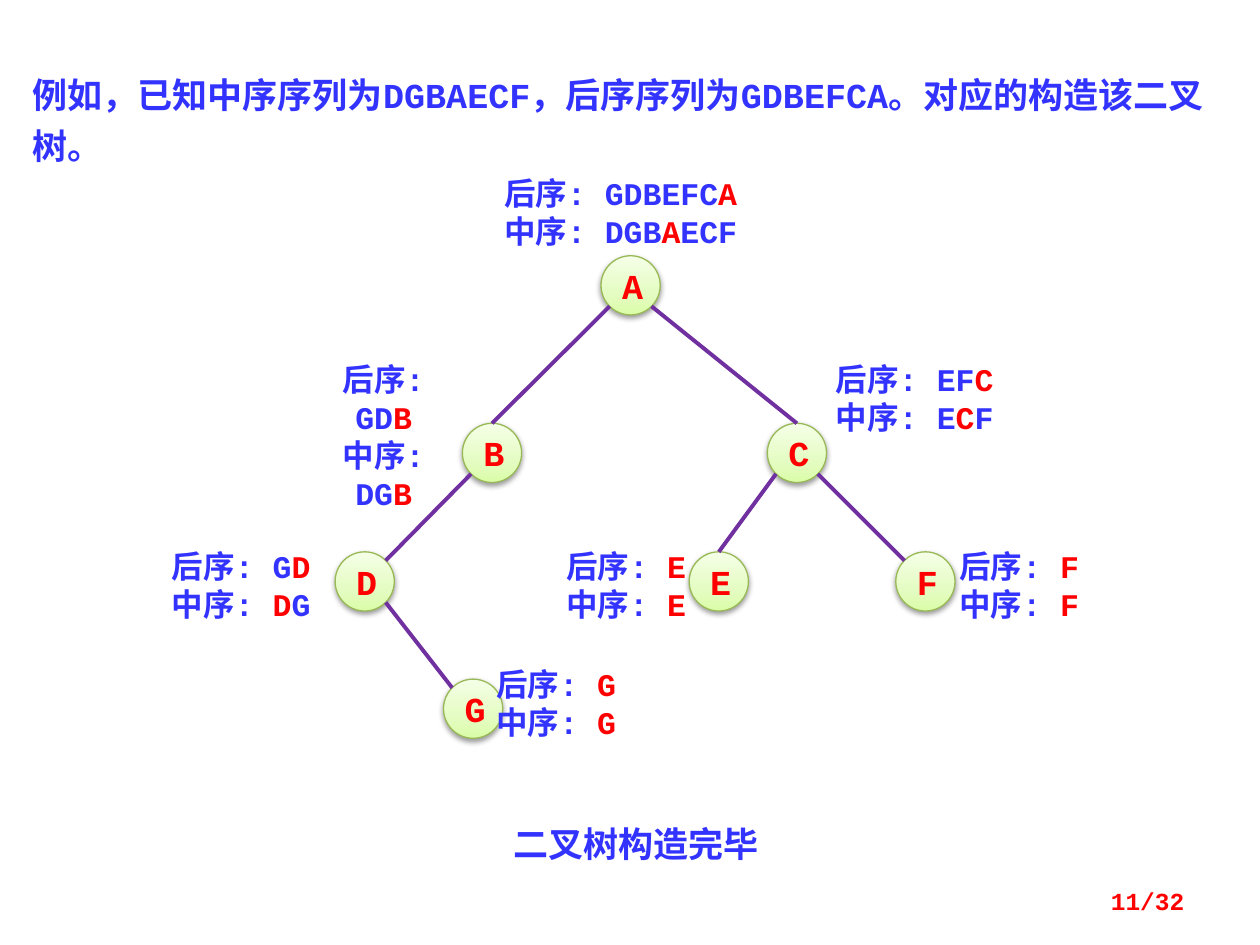
"""Build the slide that reconstructs a binary tree from its inorder and postorder sequences."""
import copy
import math
from dataclasses import dataclass

from lxml import etree
from pptx import Presentation
from pptx import util as u
from pptx.dml.color import RGBColor
from pptx.enum import shapes, text
from pptx.oxml.ns import qn

BLUE = RGBColor(0x33, 0x33, 0xFF)
RED = RGBColor(0xFF, 0x00, 0x00)
PURPLE = RGBColor(0x70, 0x30, 0xA0)
OUTLINE = RGBColor(0x98, 0xB9, 0x55)
GRADIENT = (
    (0, RGBColor(0xDA, 0xFD, 0xA7)),
    (0.35, RGBColor(0xE4, 0xFC, 0xC2)),
    (1, RGBColor(0xF5, 0xFF, 0xE7)),
)
LATIN_FONT = "Courier New"
CHINESE_FONT = "Noto Sans CJK SC"
DIAMETER = 0.47
LABEL_HEIGHT = 0.71
TOP, TOP_LEFT, TOP_RIGHT, BOTTOM_LEFT, BOTTOM_RIGHT = 90, 135, 45, 225, 315


@dataclass(frozen=True)
class Node:
    name: str
    left: float
    top: float
    postorder: str
    inorder: str
    label_left: float
    label_top: float
    label_width: float

    def rim_point(self, degrees: float) -> tuple[u.Length, u.Length]:
        """Return the point of the circle at an angle counted from the right."""
        radius, angle = DIAMETER / 2, math.radians(degrees)
        return (
            u.Inches(self.left + radius * (1 + math.cos(angle))),
            u.Inches(self.top + radius * (1 - math.sin(angle))),
        )


@dataclass(frozen=True)
class Edge:
    parent: str
    child: str
    start: int
    end: int


NODES = (
    Node("A", 4.77, 2.03, "GDBEFCA", "DGBAECF", 3.83, 1.33, 2.19),
    Node("B", 3.67, 3.36, "GDB", "DGB", 2.34, 2.81, 1.41),
    Node("C", 6.09, 3.36, "EFC", "ECF", 6.48, 2.81, 1.56),
    Node("D", 2.66, 4.38, "GD", "DG", 1.25, 4.29, 1.33),
    Node("G", 3.52, 5.39, "G", "G", 3.83, 5.23, 1.17),
    Node("E", 5.47, 4.38, "E", "E", 4.39, 4.29, 1.16),
    Node("F", 7.11, 4.38, "F", "F", 7.51, 4.29, 1.16),
)
EDGES = (
    Edge("A", "B", BOTTOM_LEFT, TOP),
    Edge("A", "C", BOTTOM_RIGHT, TOP),
    Edge("B", "D", BOTTOM_LEFT, TOP_RIGHT),
    Edge("D", "G", BOTTOM_RIGHT, TOP_LEFT),
    Edge("C", "E", BOTTOM_LEFT, TOP),
    Edge("C", "F", BOTTOM_RIGHT, TOP_LEFT),
)


def format_run(run, size: float, color: RGBColor, font: str = LATIN_FONT) -> None:
    """Set the bold Latin and Chinese type of a run."""
    run.font.size = u.Pt(size)
    run.font.bold = True
    run.font.color.rgb = color
    run.font.name = font
    east_asian = etree.SubElement(run.font._element, qn("a:ea"))
    east_asian.set("typeface", CHINESE_FONT)


def add_text_box(slide, left: float, top: float, width: float, height: float):
    """Add a wrapping text box and return its text frame."""
    box = slide.shapes.add_textbox(*map(u.Inches, (left, top, width, height)))
    box.text_frame.word_wrap = True
    box.text_frame.auto_size = text.MSO_AUTO_SIZE.SHAPE_TO_FIT_TEXT
    return box.text_frame


def add_line_of_text(frame, wording: str, size: float, color: RGBColor,
                     alignment, font: str = LATIN_FONT):
    """Fill a text frame with one formatted paragraph and return it."""
    frame.text = wording
    paragraph = frame.paragraphs[0]
    paragraph.alignment = alignment
    format_run(paragraph.runs[0], size, color, font)
    return paragraph


def add_label(slide, node: Node) -> None:
    """Write the two sequences of a subtree with its root in red."""
    frame = add_text_box(slide, node.label_left, node.label_top,
                         node.label_width, LABEL_HEIGHT)
    frame.add_paragraph()
    lines = (f"后序: {node.postorder}", f"中序: {node.inorder}")
    for paragraph, line in zip(frame.paragraphs, lines):
        paragraph.alignment = text.PP_ALIGN.CENTER
        for part in filter(None, line.partition(node.name)):
            run = paragraph.add_run()
            run.text = part
            format_run(run, 18, RED if part == node.name else BLUE)


def add_soft_shadow(shape) -> None:
    """Give a shape a soft shadow that falls straight down."""
    shape.shadow.inherit = False
    effects = shape._element.spPr.find(qn("a:effectLst"))
    shadow = etree.SubElement(effects, qn("a:outerShdw"), blurRad=str(u.Pt(3.1)),
                              dist=str(u.Pt(1.6)), dir="5400000", rotWithShape="0")
    color = etree.SubElement(shadow, qn("a:srgbClr"), val="000000")
    etree.SubElement(color, qn("a:alpha"), val="38000")


def add_node(slide, node: Node):
    """Draw a tree node and return its shape."""
    shape = slide.shapes.add_shape(
        shapes.MSO_SHAPE.OVAL,
        *map(u.Inches, (node.left, node.top, DIAMETER, DIAMETER)))
    shape.fill.gradient()
    shape.fill.gradient_angle = 90
    stop_list = shape._element.spPr.find(qn("a:gradFill")).find(qn("a:gsLst"))
    stop_list.append(copy.deepcopy(stop_list[0]))
    for stop, (position, color) in zip(shape.fill.gradient_stops, GRADIENT):
        stop.position = position
        stop.color.rgb = color
    shape.line.color.rgb = OUTLINE
    shape.line.width = u.Pt(0.75)
    add_soft_shadow(shape)
    shape.text_frame.vertical_anchor = text.MSO_ANCHOR.MIDDLE
    add_line_of_text(shape.text_frame, node.name, 20, RED, text.PP_ALIGN.CENTER)
    return shape


def add_edge(slide, edge: Edge, nodes: dict[str, Node], circles: dict) -> None:
    """Join a parent to a child with a straight line."""
    connector = slide.shapes.add_connector(
        shapes.MSO_CONNECTOR.STRAIGHT,
        *nodes[edge.parent].rim_point(edge.start),
        *nodes[edge.child].rim_point(edge.end))
    if edge.end == TOP:
        connector.end_connect(circles[edge.child], 0)
    connector.line.color.rgb = PURPLE
    connector.line.width = u.Pt(2.25)
    etree.SubElement(connector._element.spPr, qn("a:effectLst"))


def main() -> None:
    """Build and save the presentation."""
    presentation = Presentation()
    presentation.slide_width = u.Inches(10)
    presentation.slide_height = u.Inches(7.5)
    slide = presentation.slides.add_slide(presentation.slide_layouts[6])

    question = add_line_of_text(
        add_text_box(slide, 0.16, 0.47, 9.73, 0.5),
        "例如，已知中序序列为DGBAECF，后序序列为GDBEFCA。对应的构造该二叉树。",
        20, BLUE, text.PP_ALIGN.LEFT)
    question.line_spacing = 1.2
    add_line_of_text(add_text_box(slide, 3.75, 6.48, 2.6, 0.44), "二叉树构造完毕",
                     20, BLUE, text.PP_ALIGN.CENTER, CHINESE_FONT)

    nodes = {node.name: node for node in NODES}
    circles = {node.name: add_node(slide, node) for node in NODES}
    for edge in EDGES:
        add_edge(slide, edge, nodes, circles)
    for node in NODES:
        add_label(slide, node)

    page_number = add_text_box(slide, 7.17, 6.95, 2.33, 0.4)
    page_number.auto_size = text.MSO_AUTO_SIZE.NONE
    page_number.vertical_anchor = text.MSO_ANCHOR.MIDDLE
    add_line_of_text(page_number, "11/32", 14, RED, text.PP_ALIGN.RIGHT)
    presentation.save("out.pptx")


if __name__ == "__main__":
    main()
